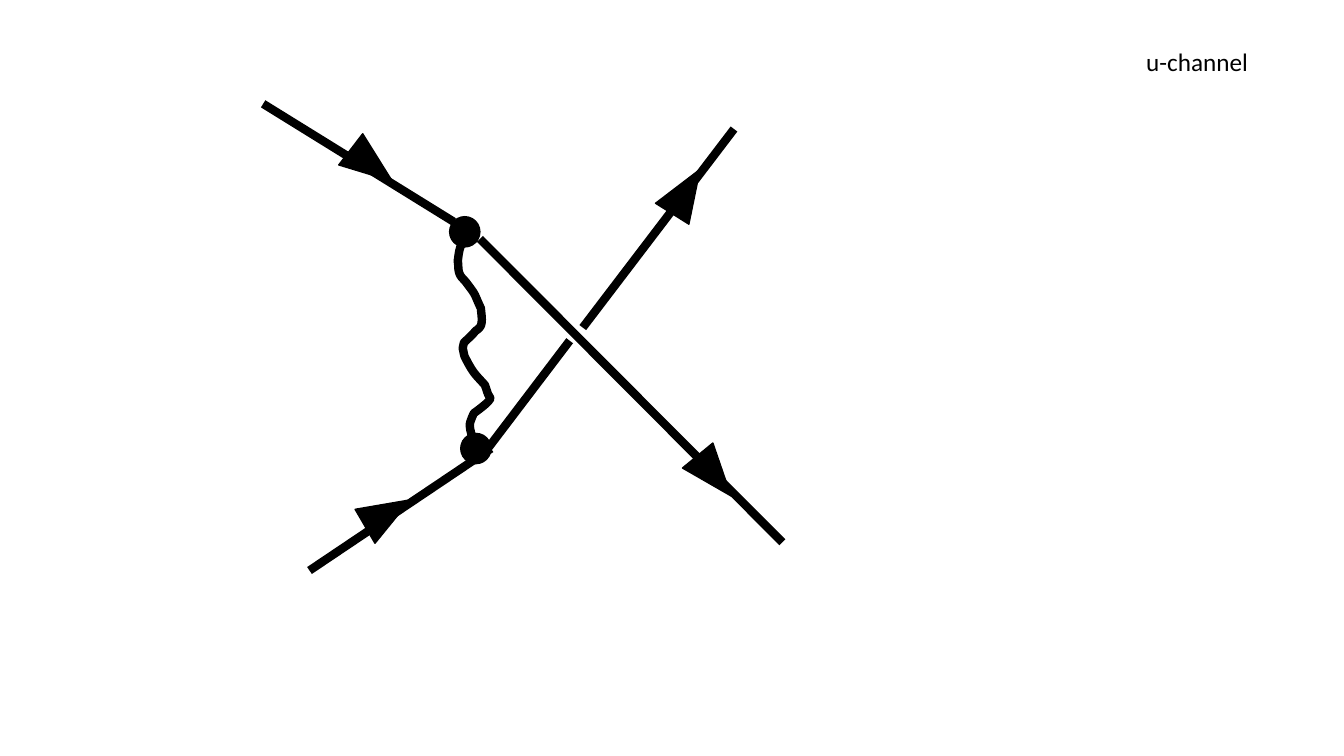
from lxml import etree
from pptx import Presentation
from pptx.dml.color import RGBColor
from pptx.enum.shapes import MSO_CONNECTOR, MSO_SHAPE
from pptx.enum.text import MSO_AUTO_SIZE
from pptx.oxml.ns import qn
from pptx.util import Inches, Pt

COLORS = {"ink": "000000"}
INK = RGBColor.from_string(COLORS["ink"])
LINE_WIDTH = 6
VERTEX_SIZE = 0.3
ARROW_W, ARROW_H = 0.39, 0.52
CURVE_STEPS = 6

FERMION_LINES = [
    ((2.61, 1.03), (4.5, 2.2)),
    ((3.07, 5.66), (4.87, 4.45)),
    ((4.83, 4.46), (5.65, 3.38)),
    ((4.76, 2.37), (7.76, 5.38)),
    ((5.78, 3.25), (7.28, 1.28)),
]
VERTICES = [(4.46, 2.15), (4.57, 4.3)]
# left, top, rotation
ARROWS = [
    (6.61, 1.64, 32.1),
    (3.65, 4.83, 59.7),
    (3.49, 1.38, 127.5),
    (6.89, 4.46, 140.5),
]
PHOTON_START = (4.73, 2.36)
# two control points and an end point per curve
PHOTON_CURVES = [
    ((4.69, 2.37), (4.64, 2.38), (4.6, 2.4)),
    ((4.55, 2.44), (4.55, 2.54), (4.54, 2.59)),
    ((4.55, 2.63), (4.54, 2.68), (4.56, 2.72)),
    ((4.57, 2.75), (4.61, 2.78), (4.63, 2.81)),
    ((4.73, 2.94), (4.7, 2.91), (4.77, 3.06)),
    ((4.77, 3.09), (4.79, 3.18), (4.77, 3.23)),
    ((4.76, 3.25), (4.74, 3.27), (4.72, 3.28)),
    ((4.68, 3.33), (4.6, 3.4), (4.6, 3.4)),
    ((4.6, 3.42), (4.59, 3.44), (4.59, 3.46)),
    ((4.6, 3.49), (4.6, 3.52), (4.61, 3.54)),
    ((4.69, 3.7), (4.71, 3.71), (4.81, 3.82)),
    ((4.82, 3.85), (4.83, 3.88), (4.84, 3.91)),
    ((4.85, 3.93), (4.87, 3.95), (4.86, 3.96)),
    ((4.84, 4), (4.74, 4.07), (4.7, 4.1)),
    ((4.69, 4.12), (4.66, 4.19), (4.66, 4.21)),
    ((4.66, 4.25), (4.67, 4.29), (4.68, 4.32)),
    ((4.69, 4.35), (4.72, 4.41), (4.74, 4.44)),
]


def set_line(sp, width):
    sp.line.color.rgb = INK
    sp.line.width = Pt(width)


def bezier_point(points, t):
    weights = ((1 - t) ** 3, 3 * t * (1 - t) ** 2, 3 * t ** 2 * (1 - t), t ** 3)
    return tuple(Inches(sum(w * p[axis] for w, p in zip(weights, points)))
                 for axis in (0, 1))


def add_photon(slide, start, curves):
    """Draw a smooth open wavy line through a chain of cubic curves."""
    points = []
    here = start
    for curve in curves:
        points += [bezier_point((here, *curve), i / CURVE_STEPS)
                   for i in range(1, CURVE_STEPS + 1)]
        here = curve[-1]
    builder = slide.shapes.build_freeform(Inches(start[0]), Inches(start[1]))
    builder.add_line_segments(points, close=False)
    sp = builder.convert_to_shape()
    sp.shadow.inherit = False
    sp.fill.background()
    set_line(sp, LINE_WIDTH)


def add_fermion_line(slide, start, end):
    line = slide.shapes.add_connector(
        MSO_CONNECTOR.STRAIGHT, *(Inches(v) for v in (*start, *end)))
    set_line(line, LINE_WIDTH)
    etree.SubElement(line._element.spPr, qn("a:effectLst"))


def add_solid(slide, kind, left, top, width, height, rotation=0):
    sp = slide.shapes.add_shape(
        kind, Inches(left), Inches(top), Inches(width), Inches(height))
    sp.rotation = rotation
    sp.shadow.inherit = False
    sp.fill.solid()
    sp.fill.fore_color.rgb = INK
    set_line(sp, 1)


def add_label(slide, text, left, top, width, height):
    box = slide.shapes.add_textbox(
        Inches(left), Inches(top), Inches(width), Inches(height))
    tf = box.text_frame
    tf.word_wrap = False
    tf.auto_size = MSO_AUTO_SIZE.SHAPE_TO_FIT_TEXT
    tf.text = text
    font = tf.paragraphs[0].runs[0].font
    font.name = "Calibri"
    font.size = Pt(18)
    font.color.rgb = INK


def main():
    prs = Presentation()
    prs.slide_width = Inches(13.33)
    prs.slide_height = Inches(7.5)
    slide = prs.slides.add_slide(prs.slide_layouts[6])

    add_photon(slide, PHOTON_START, PHOTON_CURVES)
    for start, end in FERMION_LINES:
        add_fermion_line(slide, start, end)
    for left, top in VERTICES:
        add_solid(slide, MSO_SHAPE.OVAL, left, top, VERTEX_SIZE, VERTEX_SIZE)
    for left, top, rotation in ARROWS:
        add_solid(slide, MSO_SHAPE.ISOSCELES_TRIANGLE, left, top,
                  ARROW_W, ARROW_H, rotation)
    add_label(slide, "u-channel", 11.27, 0.41, 1.22, 0.71)

    prs.save("out.pptx")


if __name__ == "__main__":
    main()
